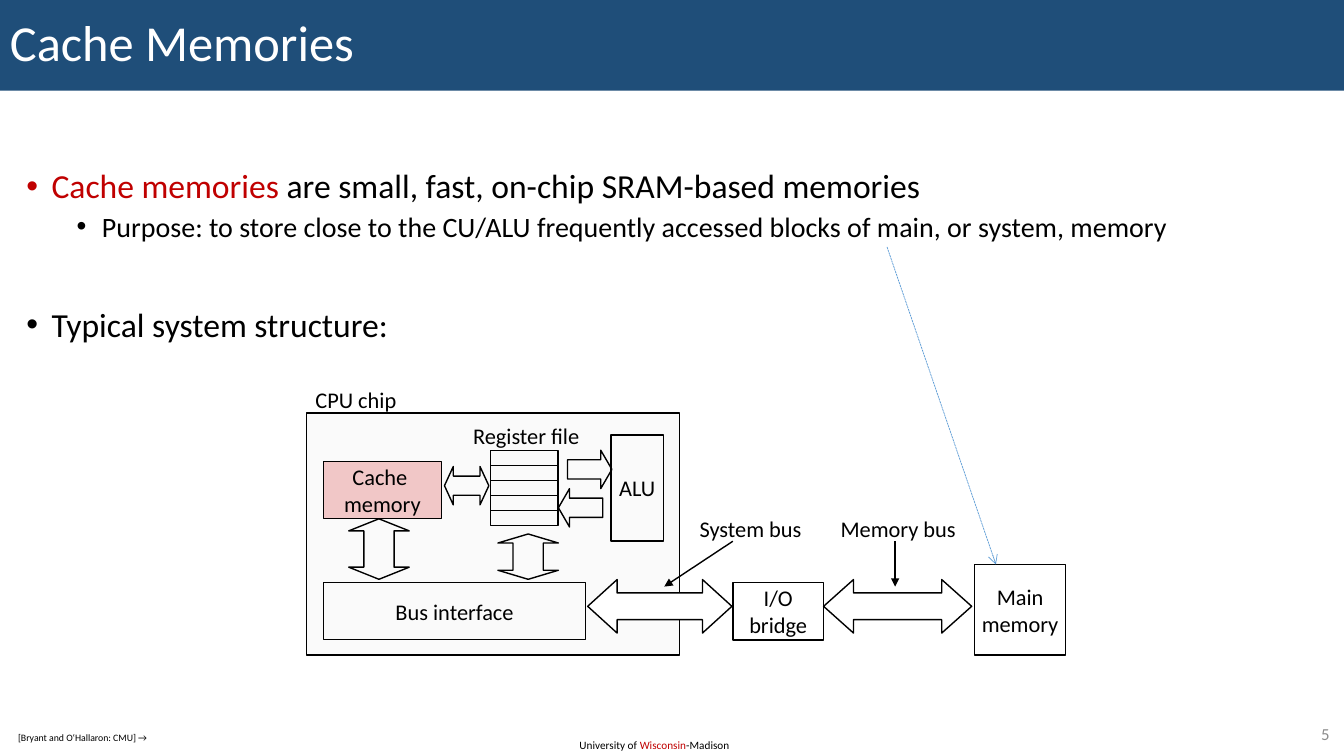
from pptx import Presentation
from pptx.dml.color import RGBColor
from pptx.enum.dml import MSO_LINE
from pptx.enum.shapes import MSO_CONNECTOR, MSO_SHAPE
from pptx.enum.text import MSO_ANCHOR, PP_ALIGN
from pptx.oxml.ns import qn
from pptx.util import Pt
from lxml import etree

BLACK = RGBColor(0, 0, 0)
WHITE = RGBColor(255, 255, 255)
NAVY = RGBColor(0x1F, 0x4E, 0x79)
RED = RGBColor(0xC0, 0, 0)
PINK = RGBColor(0xF1, 0xC7, 0xC7)
PALE = RGBColor(0xFA, 0xFA, 0xFA)
GRAY = RGBColor(0x8C, 0x8C, 0x8C)
BLUE = RGBColor(0x5B, 0x9B, 0xD5)
RECT = MSO_SHAPE.RECTANGLE
RIGHT = MSO_SHAPE.RIGHT_ARROW
LEFT = MSO_SHAPE.LEFT_ARROW
BOTH_WAYS = MSO_SHAPE.LEFT_RIGHT_ARROW
UP_DOWN = MSO_SHAPE.UP_DOWN_ARROW
STRAIGHT = MSO_CONNECTOR.STRAIGHT
DASH = MSO_LINE.SQUARE_DOT
MIDDLE, TOP = MSO_ANCHOR.MIDDLE, MSO_ANCHOR.TOP
ALIGN_LEFT, CENTER, ALIGN_RIGHT = PP_ALIGN.LEFT, PP_ALIGN.CENTER, PP_ALIGN.RIGHT
FONT = "Calibri"


def to_points(box):
    return [Pt(length) for length in box]


def inside(box, x, y, width, height):
    return box[0] + x, box[1] + y, width, height


def add_runs(paragraph, runs, size):
    for words, color in runs:
        run = paragraph.add_run()
        run.text = words
        run.font.name = FONT
        run.font.size = Pt(size)
        run.font.color.rgb = color


def write(holder, lines, size, align=CENTER, anchor=MIDDLE, wrap=False):
    frame = holder.text_frame
    frame.word_wrap = wrap
    frame.vertical_anchor = anchor
    for index, runs in enumerate(lines):
        paragraph = frame.paragraphs[0] if index == 0 else frame.add_paragraph()
        paragraph.alignment = align
        add_runs(paragraph, runs, size)


def add_label(slide, box, runs, size=16, **layout):
    label = slide.shapes.add_textbox(*to_points(box))
    write(label, [runs], size, **layout)


def add_block(slide, box, lines=(), kind=RECT, fill=None, line=BLACK):
    block = slide.shapes.add_shape(kind, *to_points(box))
    block.shadow.inherit = False
    if fill is None:
        block.fill.background()
    else:
        block.fill.solid()
        block.fill.fore_color.rgb = fill
    if line is None:
        block.line.fill.background()
    else:
        block.line.color.rgb = line
        block.line.width = Pt(1)
    if lines:
        write(block, [[(words, BLACK)] for words in lines], 16)
    return block


def add_bus_arrow(slide, box, kind, head, fill=None):
    arrow = add_block(slide, box, kind=kind, fill=fill)
    guides = arrow._element.spPr.find(qn("a:prstGeom")).find(qn("a:avLst"))
    guides.clear()
    for name, share in (("adj1", 0.5), ("adj2", head)):
        etree.SubElement(guides, qn("a:gd"), name=name,
                         fmla=f"val {round(share * 100000)}")


def add_pointer(slide, start, end, color=BLACK, width=1, head="triangle"):
    pointer = slide.shapes.add_connector(STRAIGHT, *to_points(start + end))
    pointer.line.color.rgb = color
    pointer.line.width = Pt(width)
    etree.SubElement(pointer._element.spPr, qn("a:effectLst"))
    etree.SubElement(pointer.line._get_or_add_ln(), qn("a:tailEnd"), type=head)
    return pointer


def add_title(slide, box):
    banner = add_block(slide, box, fill=NAVY, line=None)
    write(banner, [[("Cache Memories", WHITE)]], 36, ALIGN_LEFT, wrap=True)
    banner.text_frame.paragraphs[0].line_spacing = 0.9


def add_bullets(slide, box):
    points = [
        (18, 24, 0, [("Cache memories ", RED),
                     ("are small, fast, on-chip SRAM-based memories", BLACK)]),
        (54, 20, 5, [("Purpose: to store close to the CU/ALU frequently accessed "
                      "blocks of main, or system, memory", BLACK)]),
        (18, 24, 46.4, [("Typical system structure:", BLACK)]),
    ]
    body = slide.shapes.add_textbox(*to_points(box))
    frame = body.text_frame
    frame.word_wrap = True
    for index, (indent, size, gap, runs) in enumerate(points):
        paragraph = frame.paragraphs[0] if index == 0 else frame.add_paragraph()
        properties = paragraph._p.get_or_add_pPr()
        properties.set("marL", str(Pt(indent)))
        properties.set("indent", str(Pt(-18)))
        etree.SubElement(properties, qn("a:buFont"), typeface="Arial")
        etree.SubElement(properties, qn("a:buChar"), char="•")
        paragraph.line_spacing = 0.9
        paragraph.space_before = Pt(gap)
        add_runs(paragraph, runs, size)


def add_cpu_chip(slide, box):
    add_block(slide, box, fill=PALE)
    add_label(slide, inside(box, -1.4, -23, 73.4, 26.6), [("CPU chip", BLACK)])
    add_block(slide, inside(box, 12.2, 121, 187.2, 41), ["Bus interface"])
    add_block(slide, inside(box, 12.2, 34.6, 84.2, 41), ["Cache ", "memory"], fill=PINK)
    add_block(slide, inside(box, 217.6, 15.8, 37.4, 75.6), ["ALU"])
    add_label(slide, inside(box, 110.2, 2.9, 93.6, 26.6), [("Register file", BLACK)])
    for register in range(5):
        add_block(slide, inside(box, 131.6, 26.6 + 10.8 * register, 48.2, 10.8))
    data_paths = [
        (RIGHT, 0.29, (186.5, 26.6, 31.7, 27.4)),
        (LEFT, 0.29, (180, 54, 31.7, 27.4)),
        (BOTH_WAYS, 0.23, (98.6, 38.2, 31.7, 27.4)),
        (UP_DOWN, 0.2, (30.2, 75.6, 43.2, 43.2)),
        (UP_DOWN, 0.2, (136.8, 86.4, 43.2, 32.4)),
    ]
    for kind, head, place in data_paths:
        add_bus_arrow(slide, inside(box, *place), kind, head)


def add_memory_path(slide, box):
    add_bus_arrow(slide, inside(box, 0, 50.4, 103, 38.2), BOTH_WAYS, 0.55, WHITE)
    add_block(slide, inside(box, 103.7, 52.6, 64.8, 41), ["I/O", "bridge"])
    add_bus_arrow(slide, inside(box, 168.5, 50.4, 105.8, 38.2), BOTH_WAYS, 0.56)
    add_block(slide, inside(box, 276.5, 39.6, 64.8, 64.8), ["Main", "memory"])
    buses = [("System bus", 71.3, 90, 103.7, 54.7),
             ("Memory bus", 172.1, 99.4, 219.6, 219.6)]
    left, top = box[:2]
    for name, x, width, start, end in buses:
        add_label(slide, inside(box, x, 0.3, width, 26.6), [(name, BLACK)])
        add_pointer(slide, (left + start, top + 23), (left + end, top + 55.4))
    purpose = add_pointer(slide, (left + 213.8, top - 187.2),
                          (left + 291.6, top + 39.6), BLUE, 0.5, "arrow")
    purpose.line.dash_style = DASH


def add_footer(slide, box):
    add_label(slide, inside(box, 5.8, 5.8, 108, 15.8),
              [("[Bryant and O‘Hallaron: CMU] →", BLACK)], 7,
              align=ALIGN_LEFT, anchor=TOP, wrap=True)
    add_label(slide, inside(box, 406.8, 10.4, 123.8, 17.3),
              [("University of ", BLACK), ("Wisconsin", RED), ("-Madison", BLACK)], 8,
              align=ALIGN_LEFT, anchor=TOP, wrap=True)
    add_label(slide, inside(box, 902.2, 0, 54.7, 20.9), [("5", GRAY)], 12,
              align=ALIGN_RIGHT, wrap=True)


def main():
    deck = Presentation()
    deck.slide_width, deck.slide_height = Pt(960), Pt(540)
    slide = deck.slides.add_slide(deck.slide_layouts[6])
    add_title(slide, (0, 0, 960, 64.8))
    add_bullets(slide, (11.7, 117.6, 941.8, 388))
    add_cpu_chip(slide, (218.9, 295, 266.4, 172.8))
    add_memory_path(slide, (419.8, 363.6, 341.3, 104.4))
    add_footer(slide, (0, 513.4, 960, 26.6))
    deck.save("out.pptx")


if __name__ == "__main__":
    main()
